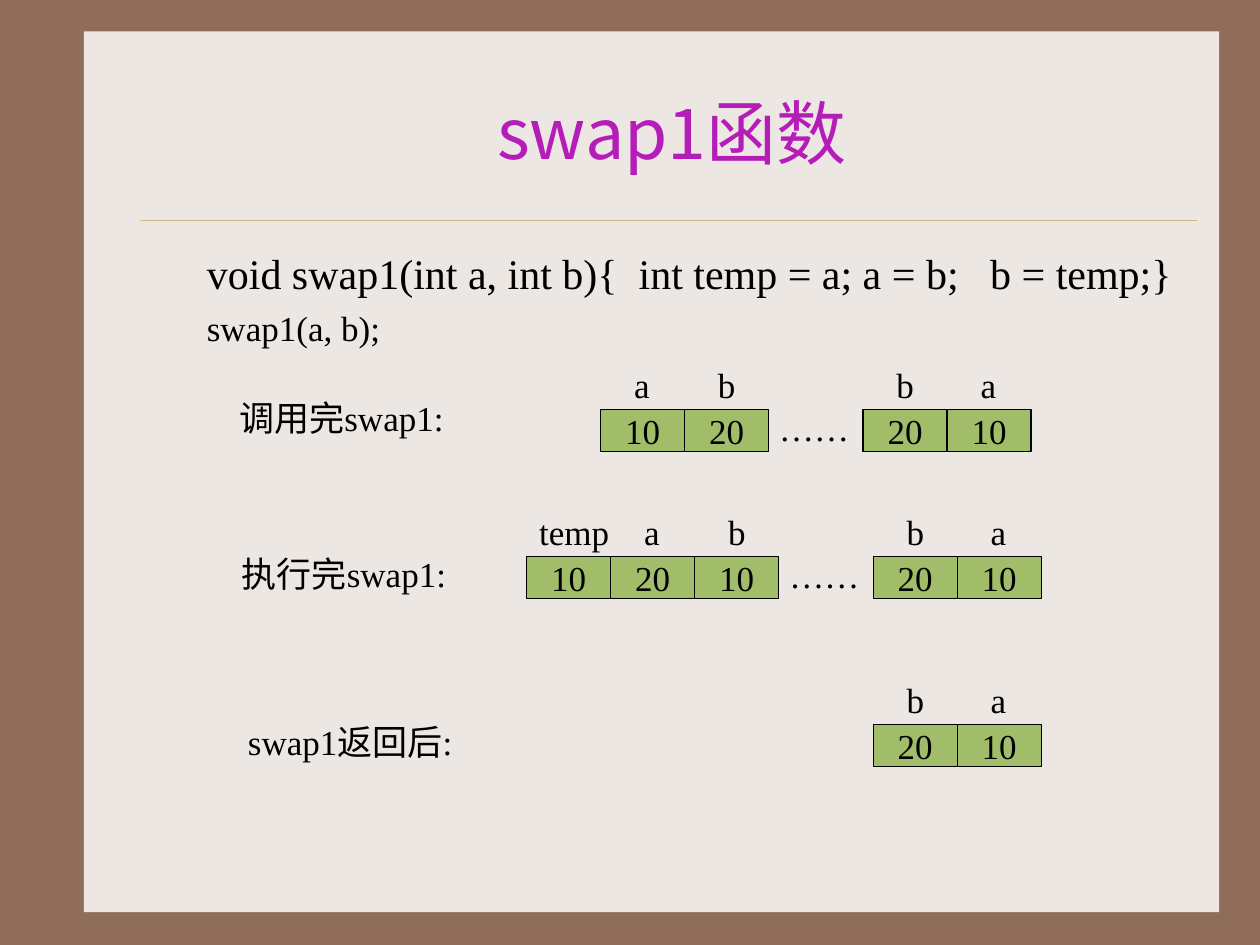
from lxml.etree import SubElement
from pptx import Presentation
from pptx.dml.color import RGBColor
from pptx.enum.shapes import MSO_CONNECTOR, MSO_SHAPE
from pptx.enum.text import MSO_ANCHOR, MSO_AUTO_SIZE, PP_ALIGN
from pptx.oxml.ns import qn
from pptx.util import Pt

BROWN = RGBColor(0x90, 0x6D, 0x58)
PAPER = RGBColor(0xED, 0xE7, 0xE3)
SAND = RGBColor(0xCB, 0xBD, 0x83)
PURPLE = RGBColor(0xB5, 0x1D, 0xB9)
GREEN = RGBColor(0xA1, 0xBD, 0x69)
BLACK = RGBColor(0, 0, 0)

LATIN_FONT = "Times New Roman"
CHINESE_FONT = "Noto Sans CJK SC"
CELL_WIDTH, CELL_HEIGHT = 48, 24
LABEL_HEIGHT = 31.5
LABEL_RISE = 30
WIDE_LABEL = 56
LABEL_PLACES = {"a": (12, 23.5), "b": (12, 25), "temp": (0, WIDE_LABEL)}

CODE_LINES = [
    ("void swap1(int a, int b){  int temp = a; a = b;   b = temp;}", 24, 6),
    ("swap1(a, b);", 20, 5),
]
CAPTIONS = [
    ("调用完swap1:", 129.6, 223.2, 136),
    ("执行完swap1:", 131, 312, 136),
    ("swap1返回后:", 134.6, 408, 140.4),
]
CALLER = [("b", 20), ("a", 10)]
MEMORY_GROUPS = [
    (343.2, 234, [("a", 10), ("b", 20)], True),
    (493.2, 234, CALLER, False),
    (301, 318, [("temp", 10), ("a", 20), ("b", 10)], True),
    (499, 318, CALLER, False),
    (499, 414, CALLER, False),
]


class SlideBuilder:
    def __init__(self, slide):
        self.slide = slide

    def span(self, para, text, size=20, color=BLACK, font=LATIN_FONT):
        span = para.add_run()
        span.text = text
        span.font.size = Pt(size)
        span.font.name = font
        span.font.color.rgb = color
        properties = span.font._element
        SubElement(properties, qn("a:ea")).set("typeface", CHINESE_FONT)

    def background(self, color):
        fill = self.slide.background.fill
        fill.solid()
        fill.fore_color.rgb = color

    def rectangle(self, left, top, width, height, color):
        box = self.slide.shapes.add_shape(
            MSO_SHAPE.RECTANGLE, Pt(left), Pt(top), Pt(width), Pt(height))
        box.shadow.inherit = False
        box.fill.solid()
        box.fill.fore_color.rgb = color
        box.line.fill.background()
        return box

    def rule(self, left, right, top):
        line = self.slide.shapes.add_connector(
            MSO_CONNECTOR.STRAIGHT, Pt(left), Pt(top), Pt(right), Pt(top))
        line.line.color.rgb = SAND
        line.line.width = Pt(0.25)
        SubElement(line._element.spPr, qn("a:effectLst"))

    def title(self, text, left, top, width, height):
        box = self.slide.shapes.title
        box.left, box.top = Pt(left), Pt(top)
        box.width, box.height = Pt(width), Pt(height)
        box.text_frame.vertical_anchor = MSO_ANCHOR.MIDDLE
        para = box.text_frame.paragraphs[0]
        para.alignment = PP_ALIGN.CENTER
        self.span(para, text, 40, PURPLE, CHINESE_FONT)

    def code(self, lines, left, top, width, height):
        box = self.slide.shapes.add_textbox(Pt(left), Pt(top), Pt(width), Pt(height))
        frame = box.text_frame
        frame.word_wrap = True
        frame.margin_left = Pt(34.2)
        for index, (text, size, space) in enumerate(lines):
            para = frame.add_paragraph() if index else frame.paragraphs[0]
            para.space_before = Pt(space)
            self.span(para, text, size)

    def label(self, text, left, top, width):
        box = self.slide.shapes.add_textbox(
            Pt(left), Pt(top), Pt(width), Pt(LABEL_HEIGHT))
        box.text_frame.word_wrap = False
        box.text_frame.auto_size = MSO_AUTO_SIZE.SHAPE_TO_FIT_TEXT
        self.span(box.text_frame.paragraphs[0], text)

    def cell(self, value, left, top):
        box = self.rectangle(left, top, CELL_WIDTH, CELL_HEIGHT, GREEN)
        box.line.color.rgb = BLACK
        box.line.width = Pt(0.75)
        frame = box.text_frame
        frame.word_wrap = False
        frame.vertical_anchor = MSO_ANCHOR.MIDDLE
        para = frame.paragraphs[0]
        para.alignment = PP_ALIGN.CENTER
        self.span(para, str(value))

    def memory(self, left, top, variables, dots):
        for index, (name, value) in enumerate(variables):
            cell_left = left + index * CELL_WIDTH
            shift, width = LABEL_PLACES[name]
            self.cell(value, cell_left, top)
            self.label(name, cell_left + shift, top - LABEL_RISE, width)
        if dots:
            dots_left = left + len(variables) * CELL_WIDTH - 1
            self.label("……", dots_left, top - 5, WIDE_LABEL)


def main():
    deck = Presentation()
    deck.slide_width, deck.slide_height = Pt(720), Pt(540)
    builder = SlideBuilder(deck.slides.add_slide(deck.slide_layouts[5]))
    builder.background(BROWN)
    page = builder.rectangle(48, 18, 648.75, 503.25, PAPER)
    tree = builder.slide.shapes._spTree
    tree.remove(page._element)
    tree.insert(2, page._element)
    builder.rule(80, 684, 126)
    builder.title("swap1函数", 84, 30, 600, 90)
    builder.code(CODE_LINES, 84, 138, 600, 78)
    for group in MEMORY_GROUPS:
        builder.memory(*group)
    for caption in CAPTIONS:
        builder.label(*caption)
    deck.save("out.pptx")


if __name__ == "__main__":
    main()
